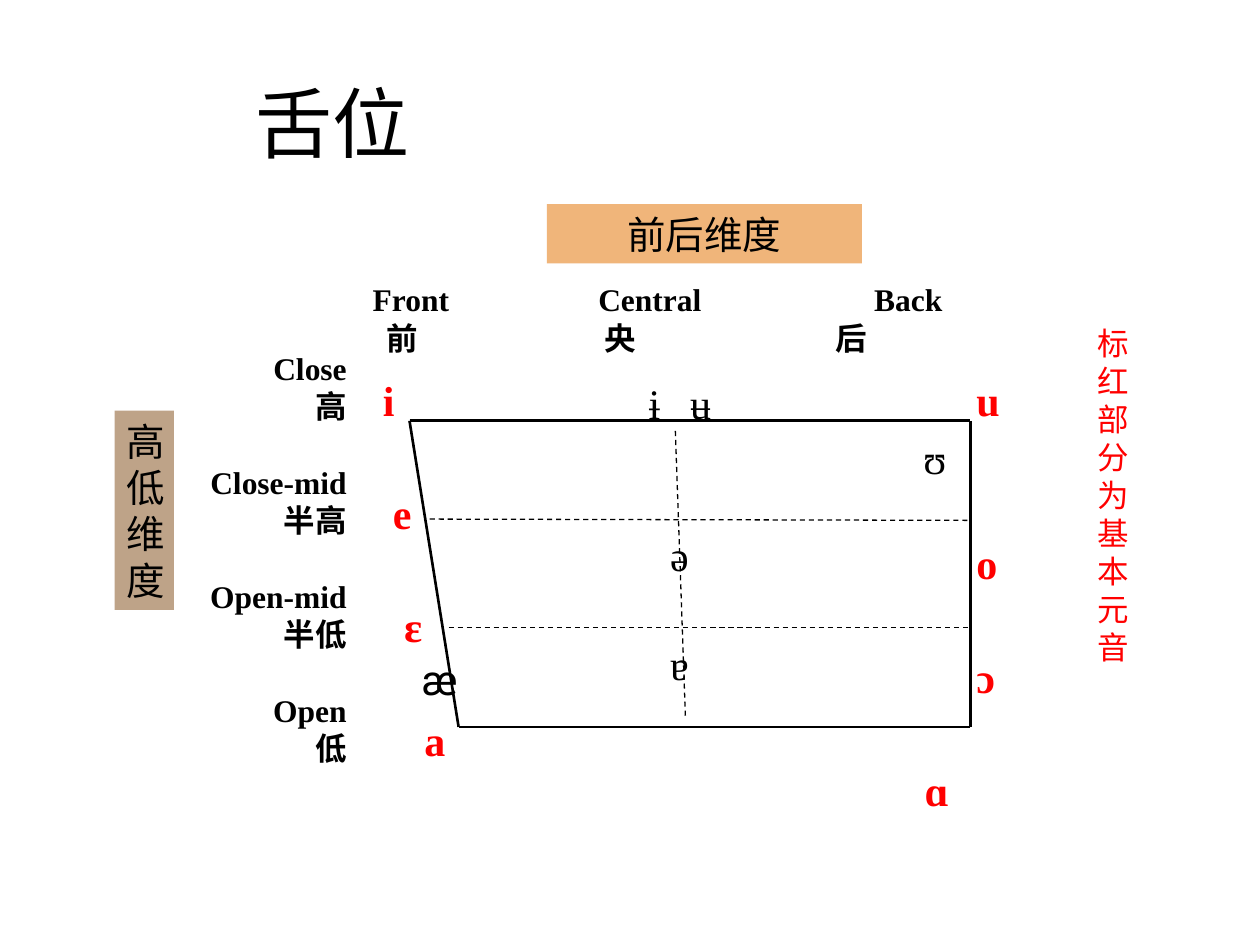
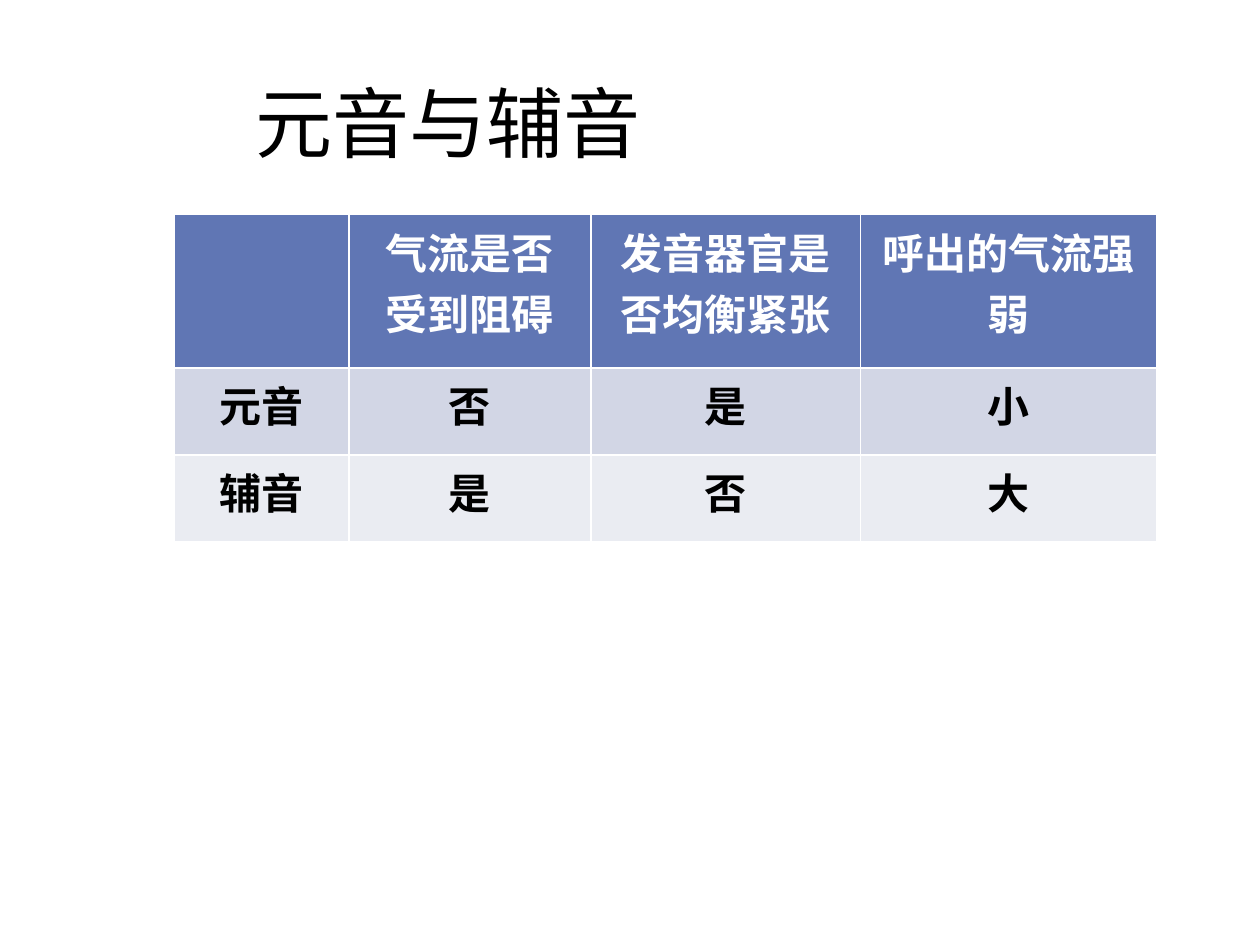
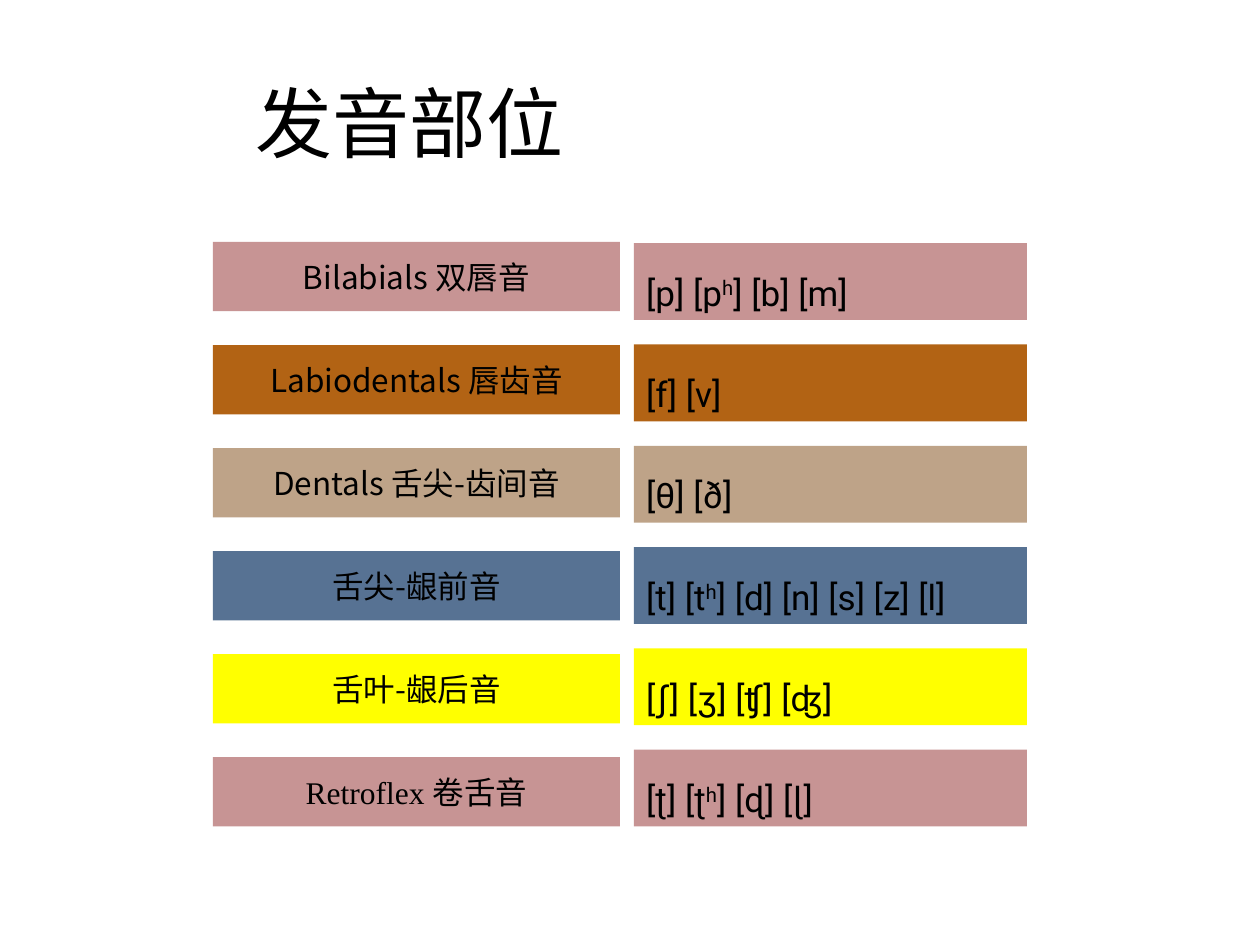
import pptx
import pptx.util
import pptx.dml.color
import pptx.enum.dml
import pptx.enum.shapes
import pptx.enum.text
import pptx.oxml.ns
from lxml import etree

Inches, Pt = pptx.util.Inches, pptx.util.Pt
ALIGN = pptx.enum.text.PP_ALIGN
ANCHOR = pptx.enum.text.MSO_ANCHOR
qn = pptx.oxml.ns.qn

# Shared fonts and colours
CJK, SERIF, SANS = "Noto Sans CJK SC", "Times New Roman", "Roboto"
BLACK, WHITE, RED = "000000", "FFFFFF", "FF0000"
ROSE, BROWN, TAN, STEEL = "C79494", "B26314", "BEA388", "577293"
YELLOW, ORANGE = "FFFF00", "F0B57A"
HEADER, BAND_DARK, BAND_LIGHT = "6076B4", "D2D6E5", "EAECF2"


def rgb(value):
    return pptx.dml.color.RGBColor.from_string(value)


def add_run(p, text, font, size, color=BLACK, bold=False, baseline=None):
    r = p.add_run()
    r.text = text
    for key, value in {"name": font, "size": Pt(size), "bold": bold}.items():
        setattr(r.font, key, value)
    r.font.color.rgb = rgb(color)
    rPr = r.font._element
    etree.SubElement(rPr, qn("a:ea")).set("typeface", CJK)
    if baseline:
        rPr.set("baseline", str(baseline))


def write(p, text, font, size, color=BLACK, bold=False, **layout):
    """Fill a paragraph; text between carets is superscript."""
    for key, value in layout.items():
        setattr(p, key, value)
    for i, part in enumerate(text.split("^")):
        add_run(p, part, font, size, color, bold, 30000 if i % 2 else None)


def text_box(s, x, y, w, h, text, font, size, color=BLACK, bold=False,
             anchor=ANCHOR.TOP, **layout):
    tf = s.shapes.add_textbox(Inches(x), Inches(y), Inches(w), Inches(h)).text_frame
    tf.word_wrap = True
    tf.vertical_anchor = anchor
    write(tf.paragraphs[0], text, font, size, color, bold, **layout)
    return tf


def add_slide(prs, title):
    s = prs.slides.add_slide(prs.slide_layouts[6])
    text_box(s, 1.93, 0.44, 6.77, 0.94, title, CJK, 44,
             anchor=ANCHOR.BOTTOM, line_spacing=Pt(58))
    return s


def block(s, x, y, w, h, fill, text, font, size, **layout):
    sp = s.shapes.add_shape(pptx.enum.shapes.MSO_SHAPE.RECTANGLE,
                            Inches(x), Inches(y), Inches(w), Inches(h))
    sp.shadow.inherit = False
    sp.fill.solid()
    sp.fill.fore_color.rgb = rgb(fill)
    sp.line.fill.background()
    tf = sp.text_frame
    tf.word_wrap = True
    tf.vertical_anchor = ANCHOR.MIDDLE
    write(tf.paragraphs[0], text, font, size, **layout)


def line(s, x1, y1, x2, y2, width, dashed=False):
    cx = s.shapes.add_connector(pptx.enum.shapes.MSO_CONNECTOR.STRAIGHT,
                                Inches(x1), Inches(y1), Inches(x2), Inches(y2))
    cx.line.width = Pt(width)
    cx.line.color.rgb = rgb(BLACK)
    if dashed:
        cx.line.dash_style = pptx.enum.dml.MSO_LINE.DASH
    etree.SubElement(cx._element.spPr, qn("a:effectLst"))


def cell_borders(cell, color, width):
    tcPr = cell._tc.get_or_add_tcPr()
    for i, side in enumerate(("lnL", "lnR", "lnT", "lnB")):
        ln = etree.Element(qn("a:" + side), w=str(Pt(width)))
        fill = etree.SubElement(ln, qn("a:solidFill"))
        etree.SubElement(fill, qn("a:srgbClr")).set("val", color)
        tcPr.insert(i, ln)


def table(s, x, y, widths, heights, rows, fills):
    shape = s.shapes.add_table(len(rows), len(widths), Inches(x), Inches(y),
                               Inches(sum(widths)), Inches(sum(heights)))
    tbl = shape.table
    for column, w in zip(tbl.columns, widths):
        column.width = Inches(w)
    for i, (row, h) in enumerate(zip(rows, heights)):
        tbl.rows[i].height = Inches(h)
        for j, text in enumerate(row):
            cell = tbl.cell(i, j)
            cell.margin_left = cell.margin_right = Inches(0.15)
            cell.fill.solid()
            cell.fill.fore_color.rgb = rgb(fills[i])
            cell_borders(cell, WHITE, 1)
            if text:
                write(cell.text_frame.paragraphs[0], text, SERIF, 24,
                      BLACK if i else WHITE, True, alignment=ALIGN.CENTER)


def tongue_positions(prs):
    s = add_slide(prs, "舌位")
    pitch = Pt(21.7)

    # Dimension names
    block(s, 0.91, 3.26, 0.47, 1.58, TAN, "高低维度", CJK, 22,
          alignment=ALIGN.LEFT, line_spacing=Pt(26.5))
    block(s, 4.34, 1.62, 2.5, 0.47, ORANGE, "前后维度", CJK, 22,
          alignment=ALIGN.CENTER)

    # Height labels
    heights = [("Close", "高"), ("Close-mid", "半高"),
               ("Open-mid", "半低"), ("Open", "低")]
    layout = {"alignment": ALIGN.RIGHT, "line_spacing": pitch}
    tf = None
    for english, chinese in heights:
        if tf is None:
            tf = text_box(s, 1.37, 2.72, 1.48, 3.43, english, SERIF, 18,
                          bold=True, **layout)
        else:
            write(tf.add_paragraph(), english, SERIF, 18, bold=True,
                  space_before=pitch, **layout)
        write(tf.add_paragraph(), chinese, SERIF, 18, bold=True, **layout)

    # Frontness labels
    for text, x, y in [("Front", 2.86, 2.17), ("Central", 4.65, 2.17),
                       ("Back", 6.84, 2.17), ("前", 2.97, 2.48),
                       ("央", 4.7, 2.48), ("后", 6.53, 2.48)]:
        text_box(s, x, y, 1.2, 0.4, text, SERIF, 18, bold=True, line_spacing=pitch)

    # Vowel quadrilateral
    left, right, top, bottom, foot = 3.25, 7.7, 3.34, 5.77, 3.64
    for ends in [(left, top, foot, bottom), (right, top, right, bottom),
                 (right, bottom, foot, bottom), (left, top, right, top)]:
        line(s, *ends, 1.5)
    for ends in [(3.41, 4.12, right, 4.13), (3.56, 4.98, right, 4.98),
                 (5.36, 3.42, 5.44, 5.69)]:
        line(s, *ends, 0.75, dashed=True)

    # Cardinal vowels in red, the others in black
    for text, x, y in [("i", 2.94, 2.92), ("e", 3.02, 3.82), ("ɛ", 3.11, 4.72),
                       ("a", 3.27, 5.62), ("u", 7.65, 2.92), ("o", 7.65, 4.22),
                       ("ɔ", 7.65, 5.12), ("ɑ", 7.24, 6.02)]:
        text_box(s, x, y, 0.63, 0.5, text, SERIF, 24, RED, True)
    for text, x, y, font in [("ɨ", 5.05, 2.95, SERIF), ("ʉ", 5.38, 2.95, SERIF),
                             ("ə", 5.22, 4.15, SERIF), ("ɐ", 5.22, 5.02, SERIF),
                             ("æ", 3.25, 5.14, SANS), ("ʊ", 7.23, 3.38, SERIF)]:
        text_box(s, x, y, 0.63, 0.5, text, font, 24)

    # Key to the red vowels
    text_box(s, 8.61, 2.52, 0.61, 2.9, "标红部分为基本元音", SERIF, 18, RED,
             line_spacing=pitch)


def vowels_and_consonants(prs):
    s = add_slide(prs, "元音与辅音")
    rows = [("", "气流是否受到阻碍", "发音器官是否均衡紧张", "呼出的气流强弱"),
            ("元音", "否", "是", "小"),
            ("辅音", "是", "否", "大")]
    table(s, 1.38, 1.7, (1.39, 1.92, 2.14, 2.35), (1.22, 0.69, 0.69), rows,
          (HEADER, BAND_DARK, BAND_LIGHT))


def places_of_articulation(prs):
    s = add_slide(prs, "发音部位")
    places = [("Bilabials 双唇音", "[p] [p^h^] [b] [m]", ROSE, CJK),
              ("Labiodentals 唇齿音", "[f] [v]", BROWN, CJK),
              ("Dentals 舌尖-齿间音", "[θ] [ð]", TAN, CJK),
              ("舌尖-龈前音", "[t] [t^h^] [d] [n] [s] [z] [l]", STEEL, CJK),
              ("舌叶-龈后音", "[ʃ] [ӡ] [ʧ] [ʤ]", YELLOW, CJK),
              ("Retroflex 卷舌音", "[ʈ] [ʈ^h^] [ɖ] [ɭ]", ROSE, SERIF)]
    name_pitch = (6.01 - 1.92) / 5
    sound_pitch = (5.95 - 1.93) / 5
    for i, (name, sounds, fill, font) in enumerate(places):
        block(s, 1.69, 1.92 + i * name_pitch, 3.23, 0.55, fill, name, font, 18,
              alignment=ALIGN.CENTER)
        block(s, 5.03, 1.93 + i * sound_pitch, 3.12, 0.61, fill, sounds, SANS, 20,
              alignment=ALIGN.LEFT, line_spacing=1.5)


def main():
    prs = pptx.Presentation()
    prs.slide_width, prs.slide_height = Inches(10), Inches(7.5)
    tongue_positions(prs)
    vowels_and_consonants(prs)
    places_of_articulation(prs)
    prs.save("out.pptx")


if __name__ == "__main__":
    main()
